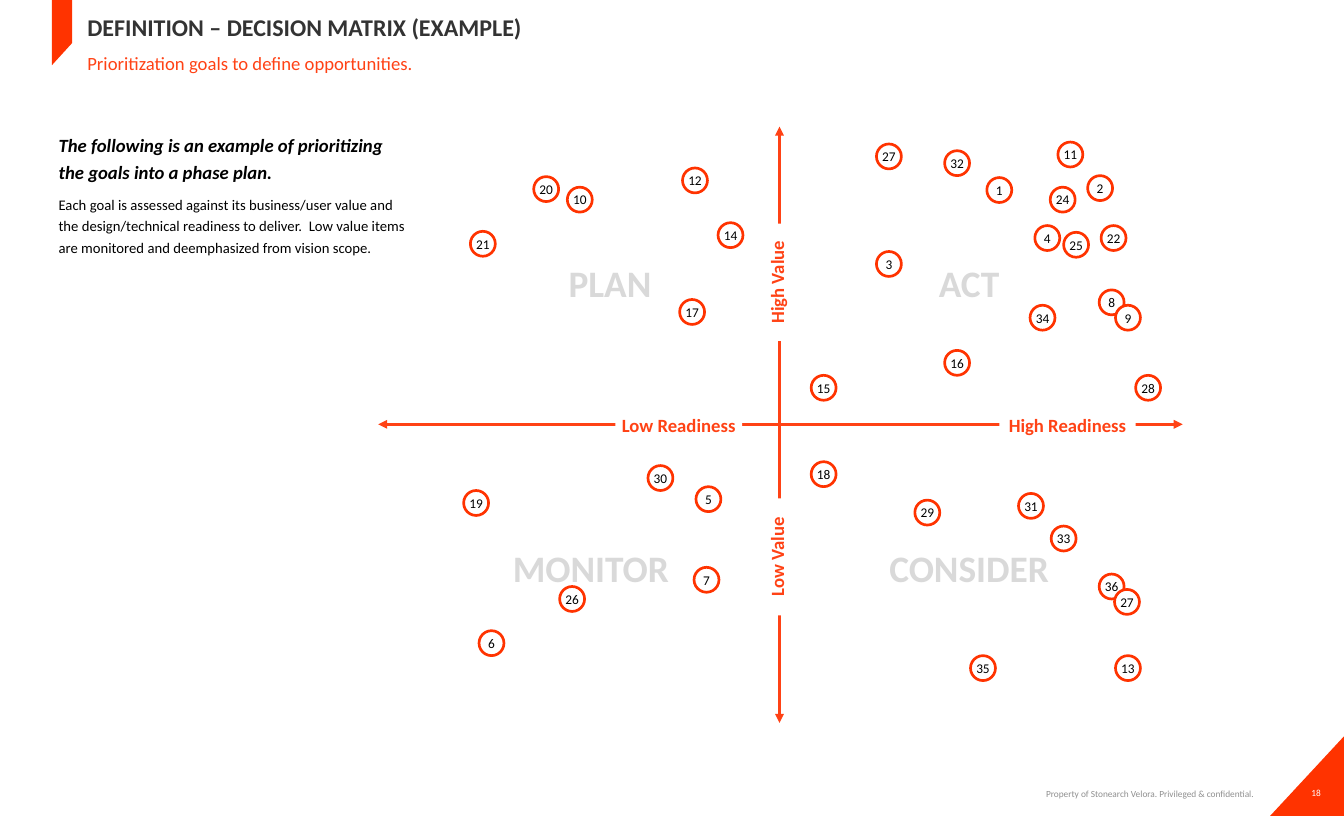
from dataclasses import dataclass
from typing import Any

from lxml import etree
from pptx import Presentation
from pptx import util as u
from pptx.dml.color import RGBColor
from pptx.enum import shapes, text
from pptx.oxml.ns import qn

FORM = shapes.MSO_SHAPE
MID = text.MSO_ANCHOR.MIDDLE
TOP = text.MSO_ANCHOR.TOP
LEFT = text.PP_ALIGN.LEFT
MAIN = text.PP_ALIGN.CENTER
RIGHT = text.PP_ALIGN.RIGHT


def tint(code):
    return RGBColor.from_string(code)


@dataclass
class Deck:
    slide: Any
    face: str = "Calibri"
    red: str = "FF3300"
    warm: str = "FF4215"
    pale: str = "D9D9D9"
    white: str = "FFFFFF"

    def style(self, para, size, ink, bold=False, slant=False, align=LEFT, lead=None, after=0):
        para.alignment = align
        para.line_spacing = lead
        para.space_after = u.Pt(after)
        font = para.font
        font.name, font.size = self.face, u.Pt(size)
        font.bold, font.italic = bold, slant
        font.color.rgb = tint(ink)

    def frame(self, shape, pad, anchor):
        box = shape.text_frame
        box.word_wrap = True
        box.vertical_anchor = anchor
        box.margin_left, box.margin_top, box.margin_right, box.margin_bottom = map(u.Inches, pad)
        return box

    def note(self, place, paras, pad=(0.06, 0.03, 0.06, 0.03), anchor=TOP):
        shape = self.slide.shapes.add_textbox(*map(u.Inches, place))
        box = self.frame(shape, pad, anchor)
        for i, (words, look) in enumerate(paras):
            para = box.add_paragraph() if i else box.paragraphs[0]
            para.text = words
            self.style(para, **look)

    def paint(self, shape, fill, edge=None):
        shape.shadow.inherit = False
        shape.fill.solid()
        shape.fill.fore_color.rgb = tint(fill)
        if edge:
            shape.line.color.rgb = tint(edge)
            shape.line.width = u.Pt(2)
        else:
            shape.line.fill.background()

    def block(self, form, place, fill, edge=None, turn=0):
        shape = self.slide.shapes.add_shape(form, *map(u.Inches, place))
        shape.rotation = turn
        self.paint(shape, fill, edge)
        return shape

    def flag(self, points):
        start, *rest = [tuple(map(u.Inches, point)) for point in points]
        path = self.slide.shapes.build_freeform(*start)
        path.add_line_segments(rest, close=True)
        self.paint(path.convert_to_shape(), self.red)

    def zone(self, x, y, words, lead, inset):
        shape = self.block(FORM.ROUNDED_RECTANGLE, (x, y, 3.87, 2.88), self.white)
        shape.adjustments[0] = 0
        para = self.frame(shape, (inset, 0.07, 0.3, 0.07), MID).paragraphs[0]
        para.text = words
        self.style(para, 28, self.pale, bold=True, align=MAIN, lead=lead)

    def axis(self, *ends):
        line = self.slide.shapes.add_connector(shapes.MSO_CONNECTOR.STRAIGHT, *map(u.Inches, ends))
        line.line.color.rgb = tint(self.warm)
        line.line.width = u.Pt(2.25)
        pen = line.line._get_or_add_ln()
        for end in ("a:headEnd", "a:tailEnd"):
            etree.SubElement(pen, qn(end), type="triangle")
        etree.SubElement(line._element.spPr, qn("a:effectLst"))

    def label(self, x, y, width, words, turn=0):
        shape = self.block(FORM.RECTANGLE, (x, y, width, 0.24), self.white, turn=turn)
        para = self.frame(shape, (0, 0, 0, 0), MID).paragraphs[0]
        para.text = words
        self.style(para, 14, self.warm, bold=True, align=MAIN)

    def dot(self, goal, x, y):
        shape = self.block(FORM.OVAL, (x, y, 0.26, 0.26), self.white, self.red)
        para = self.frame(shape, (0, 0.05, 0, 0.05), MID).paragraphs[0]
        para.text = str(goal)
        self.style(para, 10, "000000", align=MAIN)


ZONES = [
    (8.17, 4.45, "CONSIDER", 1.1, 0.28),
    (8.17, 1.5, "ACT", None, 0.28),
    (4.23, 4.45, "MONITOR", 1.1, 0.28),
    (4.23, 1.5, "PLAN", None, 0.68),
]
LABELS = [
    (7.48, 2.82, 1.22, "High Value", 270),
    (7.48, 5.68, 1.22, "Low Value", 270),
    (6.41, 4.31, 1.32, "Low Readiness"),
    (10.41, 4.31, 1.42, "High Readiness"),
]
GOALS = [
    (1, 10.28, 1.85), (2, 11.33, 1.83), (3, 9.13, 2.62), (4, 10.78, 2.35),
    (5, 7.25, 5.07), (6, 4.99, 6.57), (7, 7.23, 5.91), (8, 11.45, 3.02),
    (9, 11.62, 3.18), (29, 9.53, 5.21), (30, 6.75, 4.85), (31, 10.61, 5.14),
    (32, 9.84, 1.57), (33, 10.95, 5.48), (34, 10.73, 3.18), (35, 10.11, 6.83),
    (36, 11.45, 5.98), (27, 11.61, 6.14), (10, 5.91, 1.95), (11, 11.02, 1.48),
    (12, 7.11, 1.75), (13, 11.62, 6.83), (14, 7.48, 2.32), (15, 8.45, 3.91),
    (16, 9.84, 3.65), (17, 7.08, 3.12), (18, 8.45, 4.81), (19, 4.83, 5.11),
    (20, 5.56, 1.84), (21, 4.9, 2.41), (22, 11.47, 2.35), (24, 10.94, 1.95),
    (25, 11.08, 2.42), (26, 5.83, 6.11), (27, 9.13, 1.5), (28, 11.83, 3.91),
]


def main():
    show = Presentation()
    show.slide_width, show.slide_height = u.Inches(14), u.Inches(8.5)
    deck = Deck(show.slides.add_slide(show.slide_layouts[6]))

    deck.note((9.96, 8.11, 3.1, 0.32),
              [("Property of Stonearch Velora. Privileged & confidential.",
                dict(size=7, ink="909090", align=RIGHT))],
              (0.08, 0.04, 0, 0.04), MID)
    deck.block(FORM.RIGHT_TRIANGLE, (13.2, 7.7, 0.83, 0.77), deck.red, turn=270)
    deck.note((13.45, 8.17, 0.52, 0.18),
              [("18", dict(size=7, ink=deck.white, align=MAIN))], anchor=MID)
    deck.flag([(0.54, 0), (0.75, 0), (0.75, 0.45), (0.54, 0.68)])
    deck.note((0.85, 0, 11.81, 0.56),
              [("DEFINITION – DECISION MATRIX (EXAMPLE)",
                dict(size=18, ink="333333", bold=True))], anchor=MID)
    deck.note((0.85, 0.51, 11.81, 0.56),
              [("Prioritization goals to define opportunities.",
                dict(size=14, ink=deck.warm))])

    for zone in ZONES:
        deck.zone(*zone)
    deck.axis(3.94, 4.42, 12.32, 4.42)
    deck.axis(8.12, 7.53, 8.12, 1.32)
    for label in LABELS:
        deck.label(*label)
    deck.note((0.55, 1.32, 3.78, 6.34), [
        ("The following is an example of prioritizing the goals into a phase plan.",
         dict(size=14, ink="000000", bold=True, slant=True, lead=1.2, after=7)),
        ("Each goal is assessed against its business/user value and the design/technical "
         "readiness to deliver.  Low value items are monitored and deemphasized from vision scope.",
         dict(size=11, ink="000000", lead=1.2)),
    ])
    for goal in GOALS:
        deck.dot(*goal)

    show.save("out.pptx")


if __name__ == "__main__":
    main()
